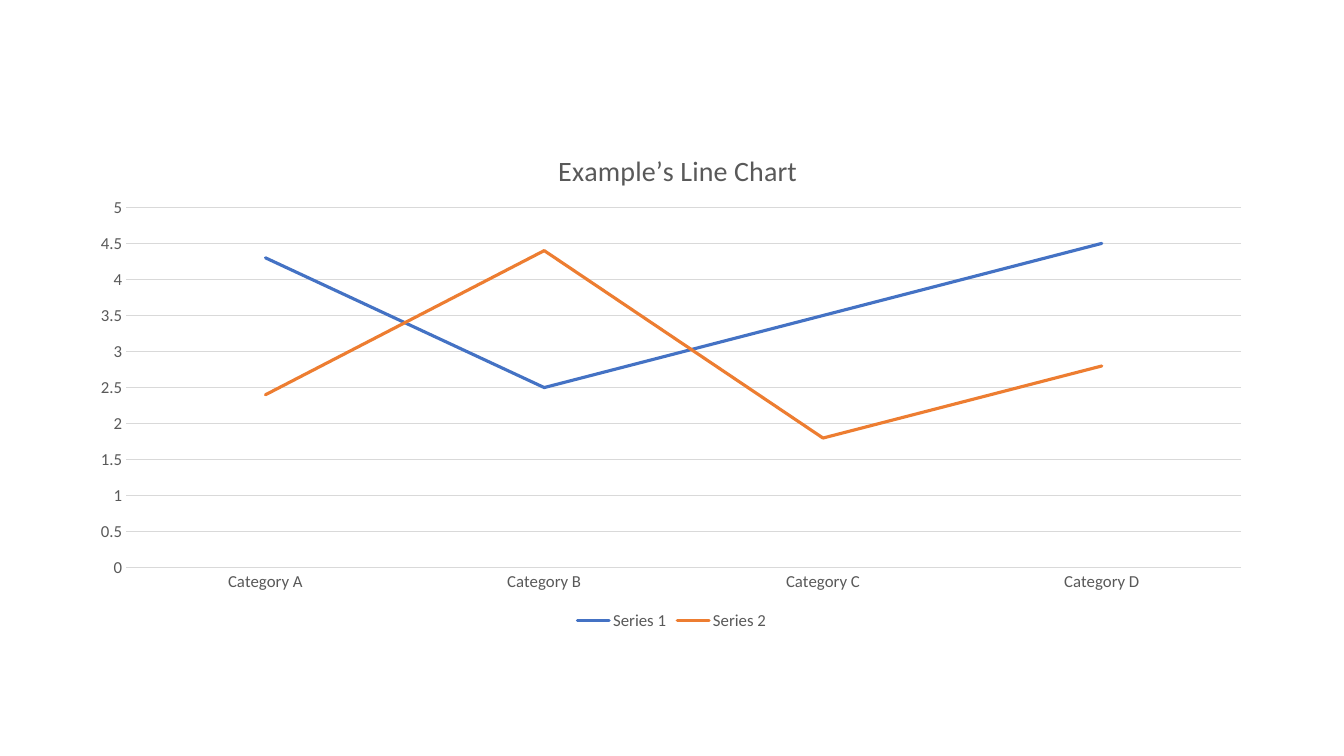
from dataclasses import dataclass

from pptx import Presentation
from pptx.chart.data import CategoryChartData
from pptx.dml.color import RGBColor
from pptx.enum.chart import XL_CHART_TYPE, XL_LEGEND_POSITION, XL_MARKER_STYLE, XL_TICK_MARK
from pptx.oxml import parse_xml
from pptx.oxml.ns import nsdecls, qn
from pptx.util import Cm, Pt

LINE_CHART = XL_CHART_TYPE.LINE
LEGEND_BOTTOM = XL_LEGEND_POSITION.BOTTOM
NO_MARKER = XL_MARKER_STYLE.NONE
NO_TICK = XL_TICK_MARK.NONE


@dataclass(frozen=True)
class Theme:
    font: str = "Calibri"
    text: str = "595959"
    rule: str = "D9D9D9"
    series: tuple = ("4472C4", "ED7D31")
    title_size: float = 20
    label_size: float = 12
    rule_width: float = 0.75
    series_width: float = 2.25


THEME = Theme()


def write(text, frame=None, font=None, size=THEME.label_size, color=THEME.text):
    if frame is not None:
        run = frame.paragraphs[0].add_run()
        run.text = text
        font = run.font
    font.name = THEME.font
    font.size = Pt(size)
    font.bold = False
    font.color.rgb = RGBColor.from_string(color)


def place(part, index, target="", **fractions):
    for layout in part.findall(qn("c:layout")):
        part.remove(layout)
    modes = "".join(f'<c:{axis}Mode val="edge"/>' for axis in "xy")
    values = "".join(f'<c:{key} val="{value}"/>' for key, value in fractions.items())
    part.insert(index, parse_xml(
        f'<c:layout {nsdecls("c")}><c:manualLayout>{target}{modes}{values}'
        "</c:manualLayout></c:layout>"))


presentation = Presentation()
presentation.slide_width = Cm(33.87)
presentation.slide_height = Cm(19.05)
slide = presentation.slides.add_slide(presentation.slide_layouts[6])

trend = CategoryChartData()
trend.categories = [f"Category {letter}" for letter in "ABCD"]
trend.add_series("Series 1", (4.3, 2.5, 3.5, 4.5))
trend.add_series("Series 2", (2.4, 4.4, 1.8, 2.8))

chart = slide.shapes.add_chart(
    LINE_CHART, Cm(1.98), Cm(3.02), Cm(29.9), Cm(12.98), trend).chart
write("", font=chart.font)

heading = chart.chart_title
write("Example’s Line Chart", frame=heading.text_frame, size=THEME.title_size)
place(heading.element, 1, x=0.4, y=0.05)

plot_area = chart.element.find(qn("c:chart")).find(qn("c:plotArea"))
place(plot_area, 0, target='<c:layoutTarget val="inner"/>', x=0.04, y=0.17, w=0.94, h=0.7)

chart.has_legend = True
chart.legend.position = LEGEND_BOTTOM
chart.legend.include_in_layout = False
write("", font=chart.legend.font)

categories, scale = chart.category_axis, chart.value_axis
for axis in (categories, scale):
    axis.major_tick_mark = NO_TICK
    axis.minor_tick_mark = NO_TICK
    write("", font=axis.tick_labels.font)

scale.minimum_scale = 0
scale.maximum_scale = 5
scale.major_unit = 0.5
scale.has_major_gridlines = True
scale.format.line.fill.background()
for rule in (categories.format.line, scale.major_gridlines.format.line):
    rule.color.rgb = RGBColor.from_string(THEME.rule)
    rule.width = Pt(THEME.rule_width)

plot = chart.plots[0]
plot.vary_by_categories = False
for series, color in zip(plot.series, THEME.series):
    series.smooth = False
    series.marker.style = NO_MARKER
    stroke = series.format.line
    stroke.color.rgb = RGBColor.from_string(color)
    stroke.width = Pt(THEME.series_width)

for outline in plot_area.findall(f"{qn('c:lineChart')}/{qn('c:ser')}/{qn('c:spPr')}/{qn('a:ln')}"):
    outline.set("cap", "rnd")

presentation.save("out.pptx")
